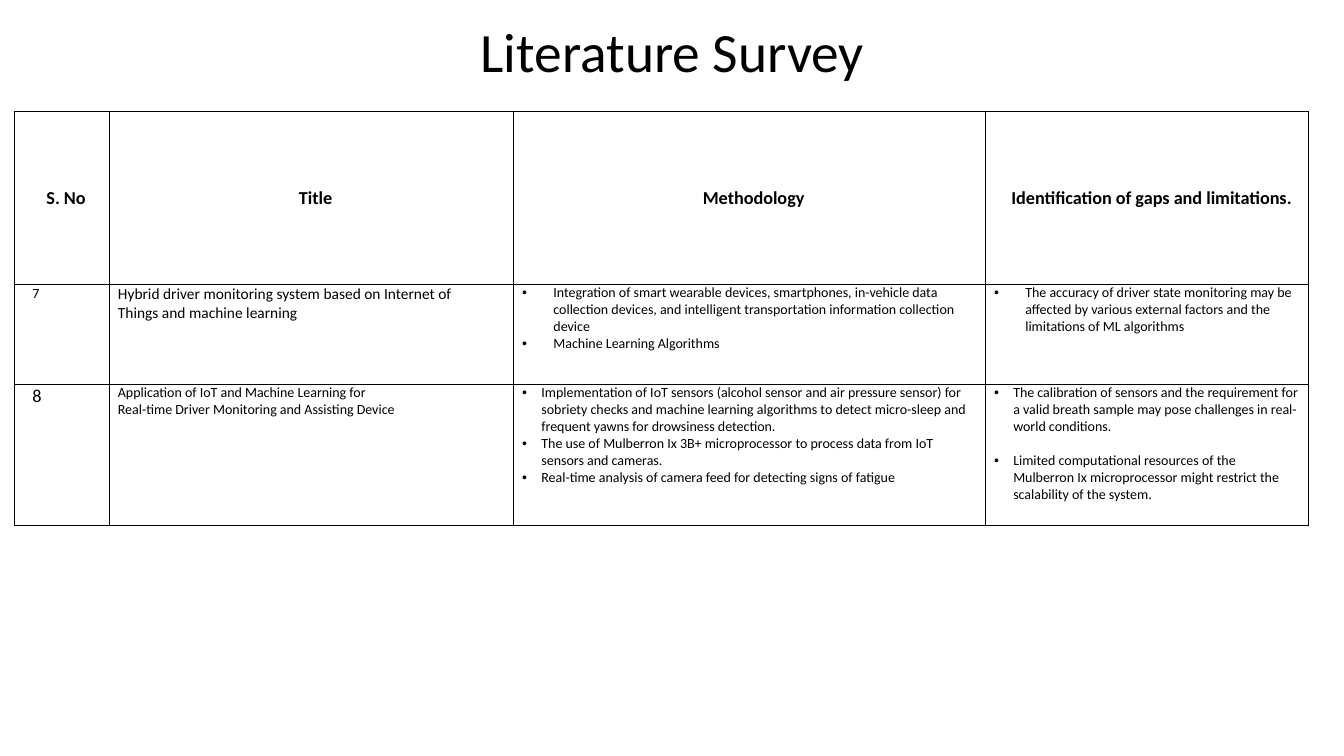
from lxml.etree import SubElement
from pptx import Presentation
from pptx.dml.color import RGBColor
from pptx.enum.text import MSO_ANCHOR as Anchor, PP_ALIGN as Align
from pptx.oxml import parse_xml
from pptx.oxml.ns import nsdecls, qn
from pptx.util import Inches, Pt

FONT = "Calibri"
BLACK = "000000"
BORDER = "000008"
COLUMN_WIDTHS = [0.94, 4.01, 4.68, 3.21]
ROW_HEIGHTS = [1.72, 0.99, 1.4]

INDENTED = {"left": 0.09, "line_spacing": 1.07, "space_after": Pt(8)}
HEADER = {**INDENTED, "size": 13, "bold": True, "alignment": Align.CENTER}
WIDE_BULLET = {"size": 10, "left": 0.31, "bullet": True}
BULLET = {"size": 10, "left": 0.19, "bullet": True}
SPACED_BULLET = {**BULLET, "space_before": Pt(12.2)}

HEADINGS = ["S. No", "Title", "Methodology", "Identification of gaps and limitations."]
ROWS = [
    [[(heading, HEADER)] for heading in HEADINGS],
    [
        [("7", {**INDENTED, "size": 10})],
        [
            ("Hybrid driver monitoring system based on Internet of", {"size": 11}),
            ("Things and machine learning", {"size": 11}),
        ],
        [
            ("Integration of smart wearable devices, smartphones, in-vehicle data collection "
             "devices, and intelligent transportation information collection device", WIDE_BULLET),
            ("Machine Learning Algorithms", WIDE_BULLET),
        ],
        [
            ("The accuracy of driver state monitoring may be affected by various external "
             "factors and the limitations of ML algorithms", WIDE_BULLET),
        ],
    ],
    [
        [("8", {**INDENTED, "size": 13})],
        [
            ("Application of IoT and Machine Learning for", {"size": 10}),
            ("Real-time Driver Monitoring and Assisting Device", {"size": 10}),
        ],
        [
            ("Implementation of IoT sensors (alcohol sensor and air pressure sensor) for "
             "sobriety checks and machine learning algorithms to detect micro-sleep and "
             "frequent yawns for drowsiness detection.", BULLET),
            ("The use of Mulberron Ix 3B+ microprocessor to process data from IoT sensors "
             "and cameras.", BULLET),
            ("Real-time analysis of camera feed for detecting signs of fatigue", BULLET),
        ],
        [
            ("The calibration of sensors and the requirement for a valid breath sample may "
             "pose challenges in real-world conditions.", BULLET),
            ("Limited computational resources of the Mulberron Ix microprocessor might "
             "restrict the scalability of the system.", SPACED_BULLET),
        ],
    ],
]


def rgb(value):
    return RGBColor.from_string(value)


def set_attributes(target, values):
    for name, value in values.items():
        setattr(target, name, value)


def write_para(para, text, style):
    style = dict(style)
    size = style.pop("size")
    bold = style.pop("bold", False)
    left = style.pop("left", 0)
    bullet = style.pop("bullet", False)
    set_attributes(para, style)
    span = para.add_run()
    span.text = text
    set_attributes(span.font, {"name": FONT, "size": Pt(size), "bold": bold})
    span.font.color.rgb = rgb(BLACK)
    properties = para._p.get_or_add_pPr()
    properties.set("marL", str(Inches(left)))
    properties.set("indent", str(-Inches(left) if bullet else 0))
    if bullet:
        SubElement(properties, qn("a:buFont")).set("typeface", "Arial")
        SubElement(properties, qn("a:buChar")).set("char", "•")


def write_paras(frame, paras):
    for index, (text, style) in enumerate(paras):
        para = frame.add_paragraph() if index else frame.paragraphs[0]
        write_para(para, text, style)


def add_borders(cell):
    properties = cell._tc.get_or_add_tcPr()
    for index, side in enumerate(["lnL", "lnR", "lnT", "lnB"]):
        properties.insert(index, parse_xml(
            f'<a:{side} {nsdecls("a")} w="{Pt(0.5)}"><a:solidFill>'
            f'<a:srgbClr val="{BORDER}"/></a:solidFill></a:{side}>'))


def add_title(page, left, top, width, height):
    box = page.shapes.add_textbox(Inches(left), Inches(top), Inches(width), Inches(height))
    set_attributes(box.text_frame, {"word_wrap": True, "vertical_anchor": Anchor.MIDDLE})
    style = {"size": 39.6, "alignment": Align.CENTER, "line_spacing": 0.9}
    write_paras(box.text_frame, [("Literature Survey", style)])


def add_survey_table(page, left, top):
    table = page.shapes.add_table(
        len(ROWS), len(COLUMN_WIDTHS), Inches(left), Inches(top),
        Inches(sum(COLUMN_WIDTHS)), Inches(sum(ROW_HEIGHTS))).table
    set_attributes(table, {"first_row": False, "horz_banding": False})
    for column, width in zip(table.columns, COLUMN_WIDTHS):
        column.width = Inches(width)
    for row, height in zip(table.rows, ROW_HEIGHTS):
        row.height = Inches(height)
    for row_index, row in enumerate(ROWS):
        for column_index, paras in enumerate(row):
            cell = table.cell(row_index, column_index)
            set_attributes(cell, {
                "margin_left": Inches(0.09), "margin_right": Inches(0.09),
                "margin_top": 0, "margin_bottom": 0,
                "vertical_anchor": Anchor.TOP if row_index else Anchor.MIDDLE,
            })
            cell.fill.background()
            add_borders(cell)
            write_paras(cell.text_frame, paras)


def main():
    deck = Presentation()
    set_attributes(deck, {"slide_width": Inches(13.33), "slide_height": Inches(7.5)})
    page = deck.slides.add_slide(deck.slide_layouts[6])
    add_title(page, 0.92, 0.22, 11.5, 0.65)
    add_survey_table(page, 0.14, 1.1)
    deck.save("out.pptx")


if __name__ == "__main__":
    main()
